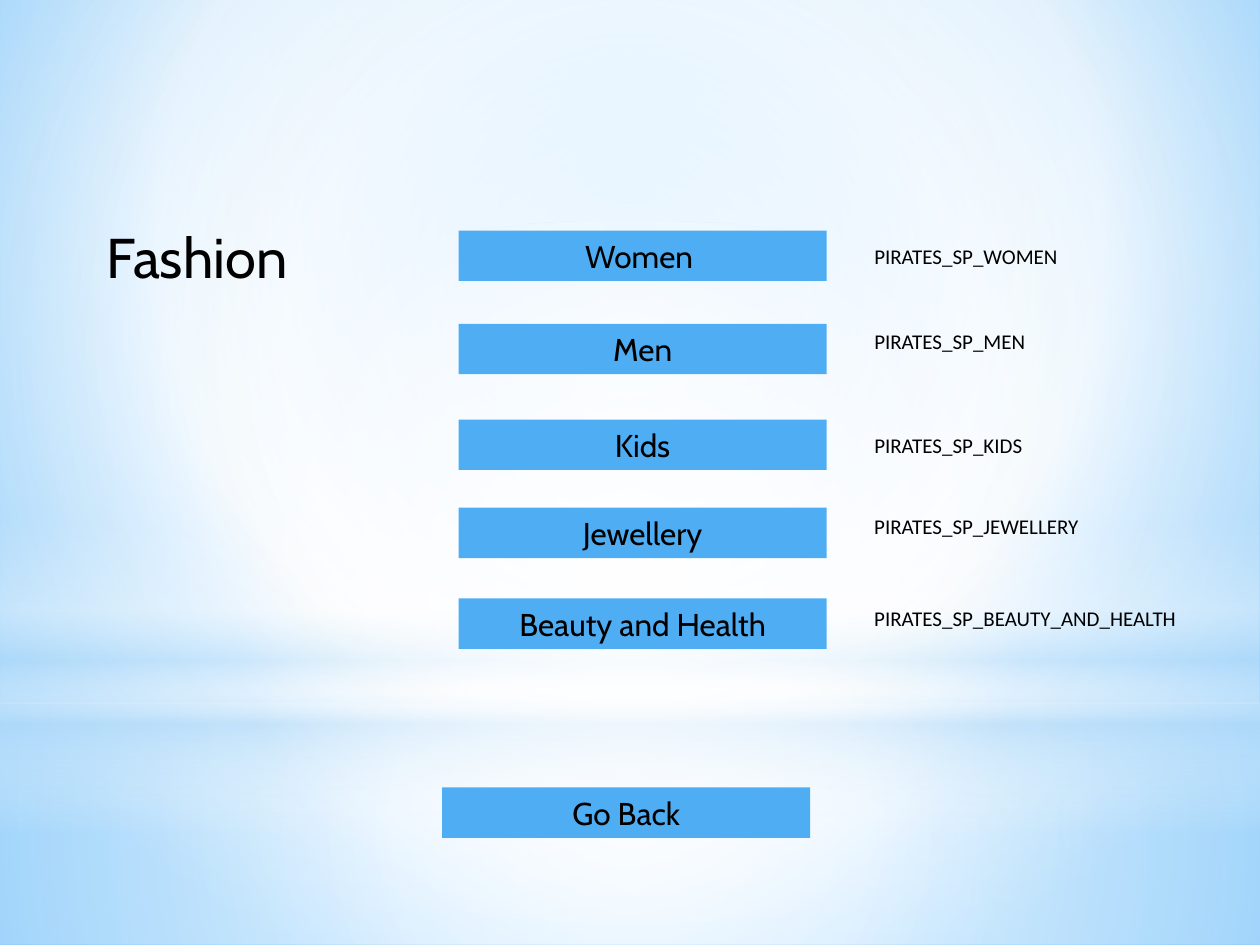
from dataclasses import dataclass
from typing import Optional

from lxml.etree import SubElement
from pptx import Presentation
from pptx.dml.color import RGBColor
from pptx.enum.shapes import MSO_SHAPE
from pptx.enum.text import MSO_ANCHOR, MSO_AUTO_SIZE, PP_ALIGN
from pptx.oxml.ns import qn
from pptx.util import Inches, Pt

# The grid: square cells, 10 columns by 7.5 rows
CELL = Inches(1)
COLUMNS, ROWS = 10, 7.5


@dataclass(frozen=True)
class Theme:
    white: str = "FFFFFF"
    haze: str = "B4DCFA"
    sky: str = "9ED5FF"
    edge: str = "5BB9FF"
    button: str = "4FADF3"
    ink: str = "000000"
    heading_font: str = "Cabin"
    code_font: str = "Calibri"
    title_size: int = 32
    button_size: int = 18
    code_size: int = 12


@dataclass(frozen=True)
class Area:
    column: float
    row: float
    columns: float
    rows: float

    def lengths(self) -> list[int]:
        return [int(n * CELL) for n in (self.column, self.row, self.columns, self.rows)]


@dataclass(frozen=True)
class Stop:
    position: int
    color: str
    opacity: int = 100


@dataclass(frozen=True)
class Glow:
    area: Area
    stops: tuple[Stop, ...]
    angle: Optional[int] = None
    outline: MSO_SHAPE = MSO_SHAPE.RECTANGLE


@dataclass(frozen=True)
class Category:
    name: str
    code: str
    button_row: float
    code_row: float
    code_columns: float


THEME = Theme()
CENTER = (50, 50, 50, 50)
BACKDROP = (Stop(0, THEME.sky), Stop(60, THEME.white), Stop(100, THEME.edge))
GLOWS = (
    Glow(Area(0, 5.58, COLUMNS, 1.92),
         (Stop(0, THEME.white, 91), Stop(37, THEME.white, 76), Stop(100, THEME.haze, 79))),
    Glow(Area(0, 0, COLUMNS, 5.58),
         (Stop(0, THEME.white, 89), Stop(48, THEME.white, 62), Stop(100, THEME.haze, 79))),
    Glow(Area(0, 4.12, COLUMNS, 2.5),
         (Stop(0, THEME.white, 0), Stop(29, THEME.white, 30), Stop(45, THEME.haze, 40),
          Stop(55, THEME.white, 26), Stop(65, THEME.haze, 60), Stop(100, THEME.white, 0)),
         angle=90),
    Glow(Area(0, 1.75, COLUMNS, 5.58),
         (Stop(0, THEME.white), Stop(56, THEME.white, 0)), outline=MSO_SHAPE.OVAL),
)
CATEGORIES = (
    Category("Women ", "PIRATES_SP_WOMEN", 1.83, 1.88, 1.68),
    Category("Men", "PIRATES_SP_MEN", 2.57, 2.56, 1.42),
    Category("Kids", "PIRATES_SP_KIDS", 3.33, 3.38, 1.39),
    Category("Jewellery", "PIRATES_SP_JEWELLERY", 4.03, 4.03, 1.84),
    Category("Beauty and Health", "PIRATES_SP_BEAUTY_AND_HEALTH", 4.75, 4.76, 2.63),
)
BUTTON_COLUMN, BACK_COLUMN, CODE_COLUMN = 3.64, 3.51, 6.84


def set_gradient(owner, fill, stops, focus=CENTER, angle: Optional[int] = None) -> None:
    """Fill with a linear gradient if an angle is given, else a circular one."""
    fill.gradient()
    gradient = next(owner.iter(qn("a:gradFill")))
    for child in list(gradient):
        gradient.remove(child)
    stop_list = SubElement(gradient, qn("a:gsLst"))
    for stop in stops:
        mark = SubElement(stop_list, qn("a:gs"), pos=str(stop.position * 1000))
        color = SubElement(mark, qn("a:srgbClr"), val=stop.color)
        if stop.opacity < 100:
            SubElement(color, qn("a:alpha"), val=str(stop.opacity * 1000))
    if angle is not None:
        SubElement(gradient, qn("a:lin"), ang=str(angle * 60000), scaled="0")
    else:
        circle = SubElement(gradient, qn("a:path"), path="circle")
        sides = {side: str(share * 1000) for side, share in zip("ltrb", focus)}
        SubElement(circle, qn("a:fillToRect"), **sides)


def add_outline(page, kind: MSO_SHAPE, area: Area):
    shape = page.shapes.add_shape(kind, *area.lengths())
    shape.shadow.inherit = False
    shape.line.fill.background()
    return shape


def write(shape, text: str, font: str, size: int, align: PP_ALIGN, wrap: bool) -> None:
    frame = shape.text_frame
    frame.word_wrap = wrap
    frame.auto_size = MSO_AUTO_SIZE.SHAPE_TO_FIT_TEXT
    frame.vertical_anchor = MSO_ANCHOR.TOP
    para = frame.paragraphs[0]
    para.text = text
    para.alignment = align
    para.font.name = font
    para.font.size = Pt(size)
    para.font.color.rgb = RGBColor.from_string(THEME.ink)


def add_button(page, text: str, column: float, row: float) -> None:
    button = add_outline(page, MSO_SHAPE.RECTANGLE, Area(column, row, 2.92, 0.4))
    button.fill.solid()
    button.fill.fore_color.rgb = RGBColor.from_string(THEME.button)
    write(button, text, THEME.heading_font, THEME.button_size, PP_ALIGN.CENTER, True)


def add_label(page, text: str, area: Area, font: str, size: int) -> None:
    box = page.shapes.add_textbox(*area.lengths())
    write(box, text, font, size, PP_ALIGN.LEFT, False)


deck = Presentation()
deck.slide_width, deck.slide_height = int(COLUMNS * CELL), int(ROWS * CELL)
page = deck.slides.add_slide(deck.slide_layouts[6])

# Background and layers of light
set_gradient(page.element, page.background.fill, BACKDROP, focus=(20, 10, 20, 60))
for glow in GLOWS:
    layer = add_outline(page, glow.outline, glow.area)
    set_gradient(layer.element, layer.fill, glow.stops, angle=glow.angle)

# Title
add_label(page, "Fashion", Area(0.75, 1.72, 1.71, 0.64), THEME.heading_font, THEME.title_size)

# Categories with their codes
for category in CATEGORIES:
    add_button(page, category.name, BUTTON_COLUMN, category.button_row)
    add_label(page, category.code,
              Area(CODE_COLUMN, category.code_row, category.code_columns, 0.3),
              THEME.code_font, THEME.code_size)

# Navigation
add_button(page, "Go Back", BACK_COLUMN, 6.25)

deck.save("out.pptx")
